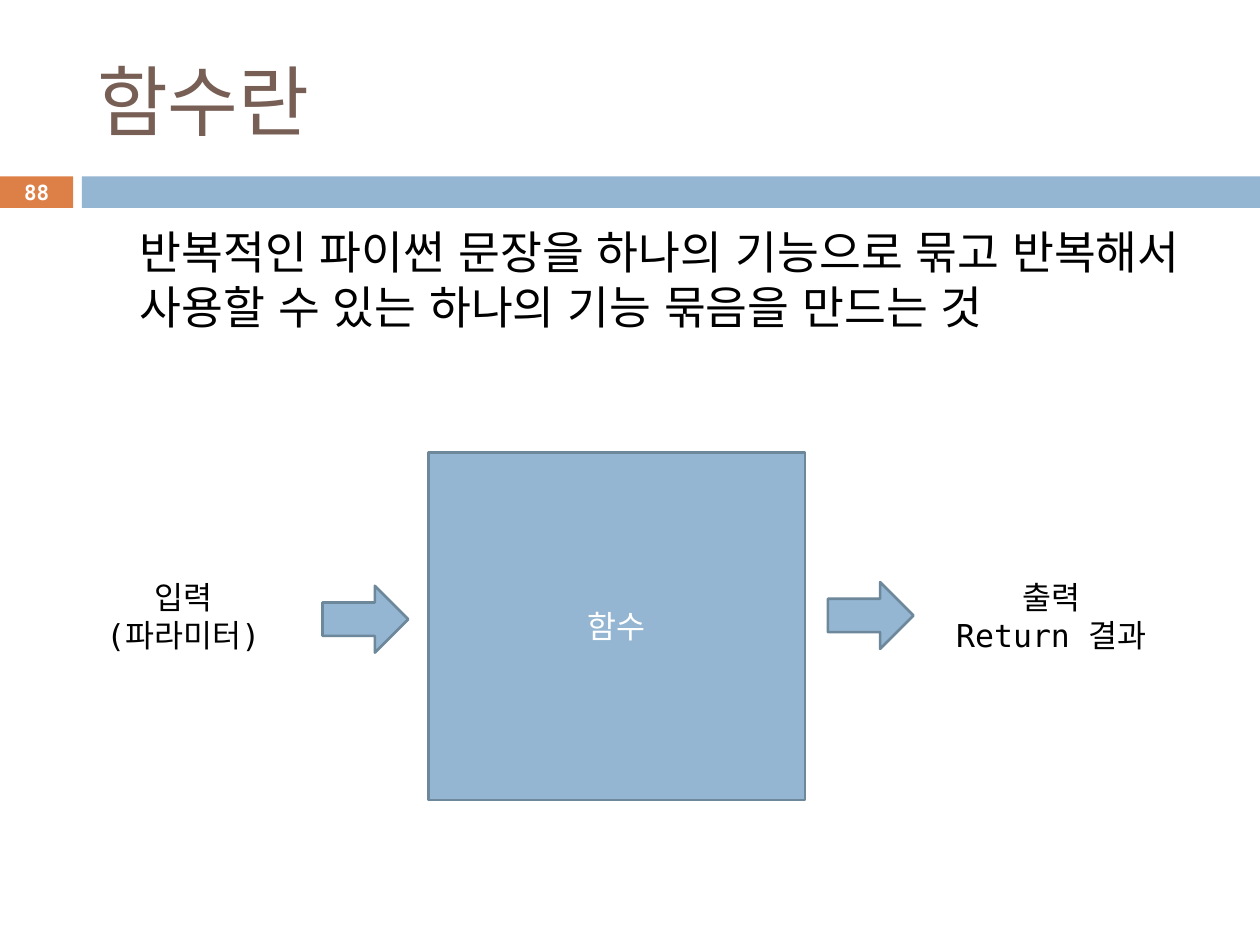
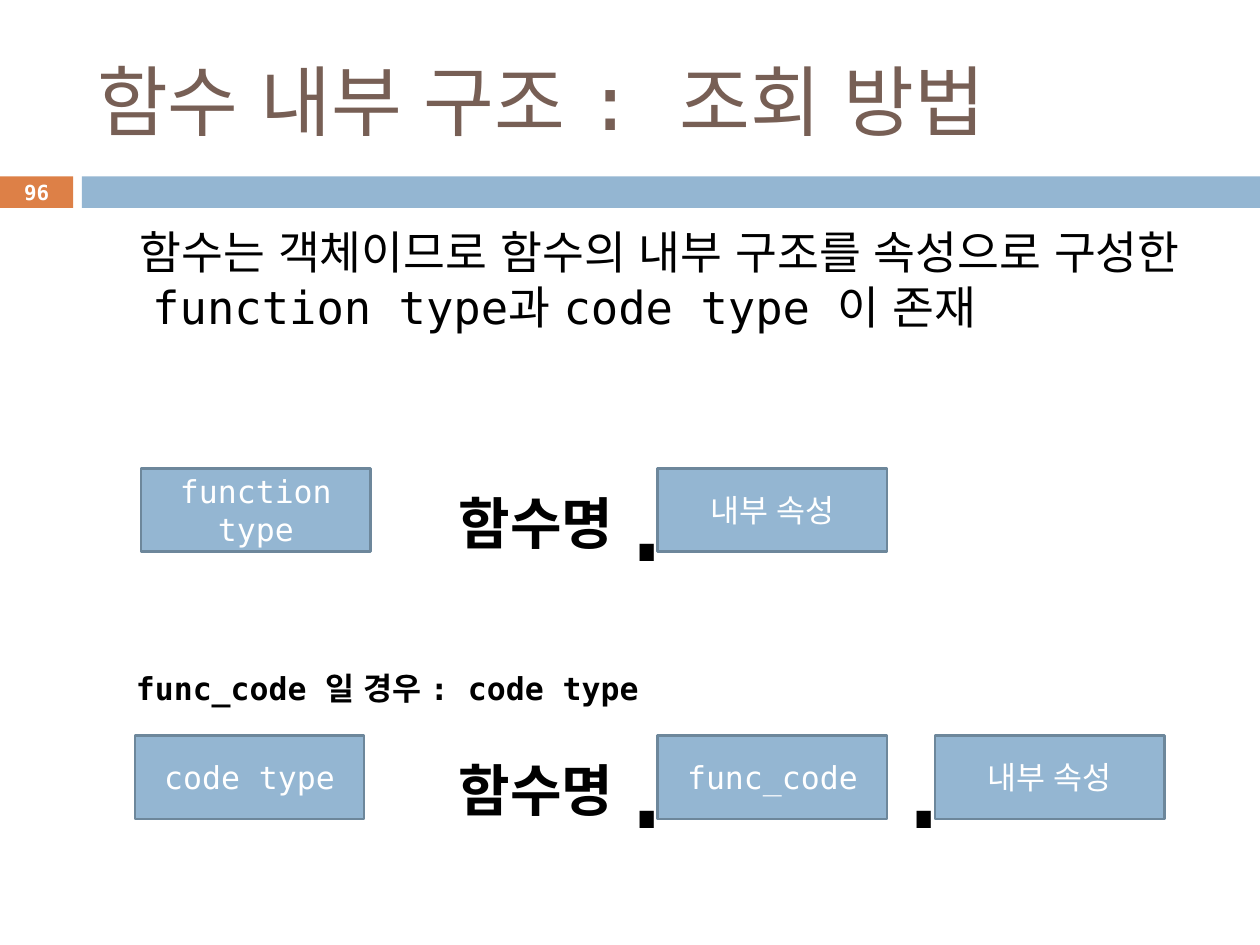
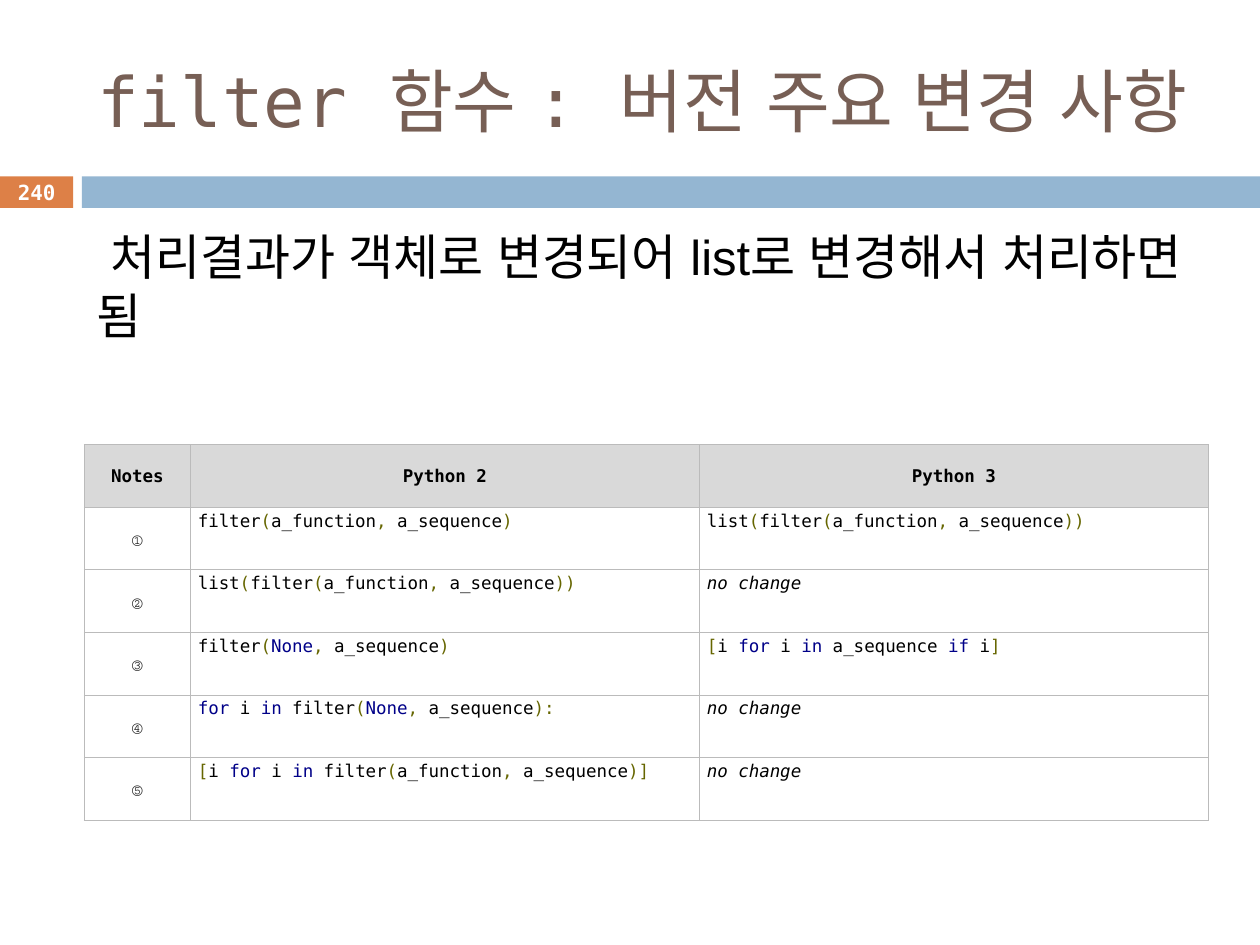
from itertools import groupby

from lxml import etree
from pptx import Presentation
from pptx.dml.color import RGBColor
from pptx.enum.shapes import MSO_SHAPE as SHAPE
from pptx.enum.text import MSO_ANCHOR as ANCHOR, MSO_AUTO_SIZE as AUTO, PP_ALIGN as ALIGN
from pptx.oxml import parse_xml
from pptx.oxml.ns import nsdecls, qn
from pptx.util import Inches, Pt

# Shared style
MONO, SANS = "DejaVu Sans Mono", "Arial"
BLACK = RGBColor(0x00, 0x00, 0x00)
WHITE = RGBColor(0xFF, 0xFF, 0xFF)
BROWN = RGBColor(0x77, 0x5F, 0x55)
ORANGE = RGBColor(0xDD, 0x80, 0x47)
BLUE = RGBColor(0x94, 0xB6, 0xD2)
OUTLINE = RGBColor(0x6D, 0x87, 0x9B)
HEADER_GREY = RGBColor(0xD9, 0xD9, 0xD9)
NOTE_GREY = RGBColor(0x22, 0x22, 0x22)
OLIVE = RGBColor(0x66, 0x66, 0x00)
NAVY = RGBColor(0x00, 0x00, 0x88)
BORDER = "BBBBBB"

KEYWORDS = {"for", "in", "if", "None"}
PUNCTUATION = "()[],:"
BODY_BOX = (0.51, 1.73, 9, 1.24)
BOX_W, BOX_H = 1.82, 0.66


def inches(box):
    return [Inches(v) for v in box]


def add_run(p, text, size, color=BLACK, bold=False, italic=False, font=MONO):
    r = p.add_run()
    r.text = text
    r.font.name, r.font.size = font, Pt(size)
    r.font.bold, r.font.italic = bold, italic
    r.font.color.rgb = color
    # Hangul, with the spaces between its words, takes the proportional font
    latin = r.font._element.find(qn("a:latin"))
    ea = etree.Element(qn("a:ea"), typeface=SANS)
    latin.addnext(ea)


def write(tf, text, size, align=ALIGN.LEFT, anchor=ANCHOR.TOP, **style):
    tf.word_wrap = True
    tf.vertical_anchor = anchor
    for i, line in enumerate(text.split("\n")):
        p = tf.add_paragraph() if i else tf.paragraphs[0]
        p.alignment = align
        add_run(p, line, size, **style)


def add_text(s, box, text, size, grow=True, **style):
    tf = s.shapes.add_textbox(*inches(box)).text_frame
    write(tf, text, size, **style)
    tf.auto_size = AUTO.SHAPE_TO_FIT_TEXT if grow else AUTO.NONE
    return tf


def add_block(s, box, text="", kind=SHAPE.RECTANGLE, fill=BLUE, line=OUTLINE):
    sp = s.shapes.add_shape(kind, *inches(box))
    sp.shadow.inherit = False
    sp.fill.solid()
    sp.fill.fore_color.rgb = fill
    if line is None:
        sp.line.fill.background()
    else:
        sp.line.color.rgb = line
        sp.line.width = Pt(1.5)
    if text:
        write(sp.text_frame, text, 18, ALIGN.CENTER, ANCHOR.MIDDLE, color=WHITE)


def new_slide(prs, title, number, title_size=44):
    s = prs.slides.add_slide(prs.slide_layouts[5])
    # Bands and slide number
    add_block(s, (0, 1.4, 0.58, 0.25), fill=ORANGE, line=None)
    add_block(s, (0.65, 1.4, 9.35, 0.25), fill=BLUE, line=None)
    add_text(s, (0, 1.39, 0.58, 0.27), str(number), 11.9, grow=False, align=ALIGN.CENTER,
             anchor=ANCHOR.MIDDLE, color=WHITE, bold=True)
    # Title
    sp = s.shapes.title
    sp.left, sp.top, sp.width, sp.height = inches((0.67, 0.25, 8.92, 1.08))
    write(sp.text_frame, title, title_size, anchor=ANCHOR.MIDDLE, color=BROWN)
    sp.text_frame.auto_size = AUTO.NONE
    return s


def add_body(s, text):
    tf = add_text(s, BODY_BOX, text, 26, grow=False)
    pPr = tf.paragraphs[0]._p.get_or_add_pPr()
    pPr.set("marL", str(Inches(0.5)))
    pPr.set("indent", "0")


def flow_diagram(s, left, top):
    """Input, function box and result, joined by block arrows."""
    add_block(s, (left + 2.81, top, 2.99, 2.76), "함수")
    for dx, dy in ((1.97, 1.06), (5.98, 1.03)):
        add_block(s, (left + dx, top + dy, 0.68, 0.53), kind=SHAPE.RIGHT_ARROW)
    for dx, width, label in ((0, 1.73, "입력\n(파라미터)"), (6.85, 1.81, "출력\nReturn 결과")):
        add_text(s, (left + dx, top + 0.95, width, 0.71), label, 18, align=ALIGN.CENTER)


def lookup_row(s, left, top, kind, attributes):
    """A type box, then the function name with dotted attributes."""
    add_block(s, (left, top, BOX_W, BOX_H), kind)
    add_text(s, (3.43, top + 0.11, 1.65, 0.64), "함수명", 32, align=ALIGN.CENTER, bold=True)
    for i, attribute in enumerate(attributes):
        x = 5.22 + 2.2 * i
        add_text(s, (x - 0.46, top - 0.23, 0.26, 0.84), ".", 66)
        add_block(s, (x, top, BOX_W, BOX_H), attribute)


def char_kind(c):
    return "punctuation" if c in PUNCTUATION else "space" if c == " " else "word"


def write_code(p, code):
    """Colour keywords and punctuation token by token."""
    for kind, chars in groupby(code, char_kind):
        token = "".join(chars)
        color = OLIVE if kind == "punctuation" else NAVY if token in KEYWORDS else BLACK
        add_run(p, token, 10, color)


def style_cell(cell, fill):
    cell.margin_left = cell.margin_right = Inches(0.06)
    cell.margin_top = cell.margin_bottom = Inches(0.03)
    tcPr = cell._tc.get_or_add_tcPr()
    for side in "LRTB":
        tcPr.append(parse_xml(
            f'<a:ln{side} {nsdecls("a")} w="{Pt(0.6)}"><a:solidFill>'
            f'<a:srgbClr val="{BORDER}"/></a:solidFill></a:ln{side}>'))
    cell.fill.solid()
    cell.fill.fore_color.rgb = fill


def version_table(s, box, rows):
    heads = ("Notes", "Python 2", "Python 3")
    frame = s.shapes.add_table(len(rows) + 1, len(heads), *inches(box))
    table = frame.table
    for column, width in zip(table.columns, (0.84, 4.04, 4.04)):
        column.width = Inches(width)
    for i, row in enumerate([heads] + rows):
        for j, text in enumerate(row):
            cell = table.cell(i, j)
            style_cell(cell, WHITE if i else HEADER_GREY)
            p = cell.text_frame.paragraphs[0]
            if i == 0 or j == 0:
                cell.vertical_anchor = ANCHOR.MIDDLE
                p.alignment = ALIGN.CENTER
                add_run(p, text, 10, NOTE_GREY if i else BLACK, bold=i == 0)
            elif text == "no change":
                add_run(p, text, 10, italic=True)
            else:
                write_code(p, text)


def function_slide(prs):
    s = new_slide(prs, "함수란", 88)
    add_body(s, "반복적인 파이썬 문장을 하나의 기능으로 묶고 반복해서 사용할 수 있는 "
                "하나의 기능 묶음을 만드는 것")
    flow_diagram(s, 0.59, 3.59)


def structure_slide(prs):
    s = new_slide(prs, "함수 내부 구조 : 조회 방법", 96)
    add_body(s, "함수는 객체이므로 함수의 내부 구조를 속성으로 구성한  "
                "function type과 code type 이 존재")
    lookup_row(s, 1.12, 3.72, "function type", ["내부 속성"])
    add_text(s, (0.98, 5.26, 4.58, 0.4), "func_code 일 경우 : code type", 18, bold=True)
    lookup_row(s, 1.07, 5.84, "code type", ["func_code", "내부 속성"])


def filter_slide(prs):
    s = new_slide(prs, "filter 함수 : 버전 주요 변경 사항", 240, 39.6)
    add_text(s, (0.67, 1.75, 8.92, 2.16), " 처리결과가 객체로 변경되어 list로 변경해서 처리하면 됨",
             28, grow=False, font=SANS)
    version_table(s, (0.67, 3.53, 8.92, 2.98), [
        ("①", "filter(a_function, a_sequence)", "list(filter(a_function, a_sequence))"),
        ("②", "list(filter(a_function, a_sequence))", "no change"),
        ("③", "filter(None, a_sequence)", "[i for i in a_sequence if i]"),
        ("④", "for i in filter(None, a_sequence):", "no change"),
        ("⑤", "[i for i in filter(a_function, a_sequence)]", "no change"),
    ])


def main():
    prs = Presentation()
    prs.slide_width, prs.slide_height = Inches(10), Inches(7.5)
    function_slide(prs)
    structure_slide(prs)
    filter_slide(prs)
    prs.save("out.pptx")


if __name__ == "__main__":
    main()
